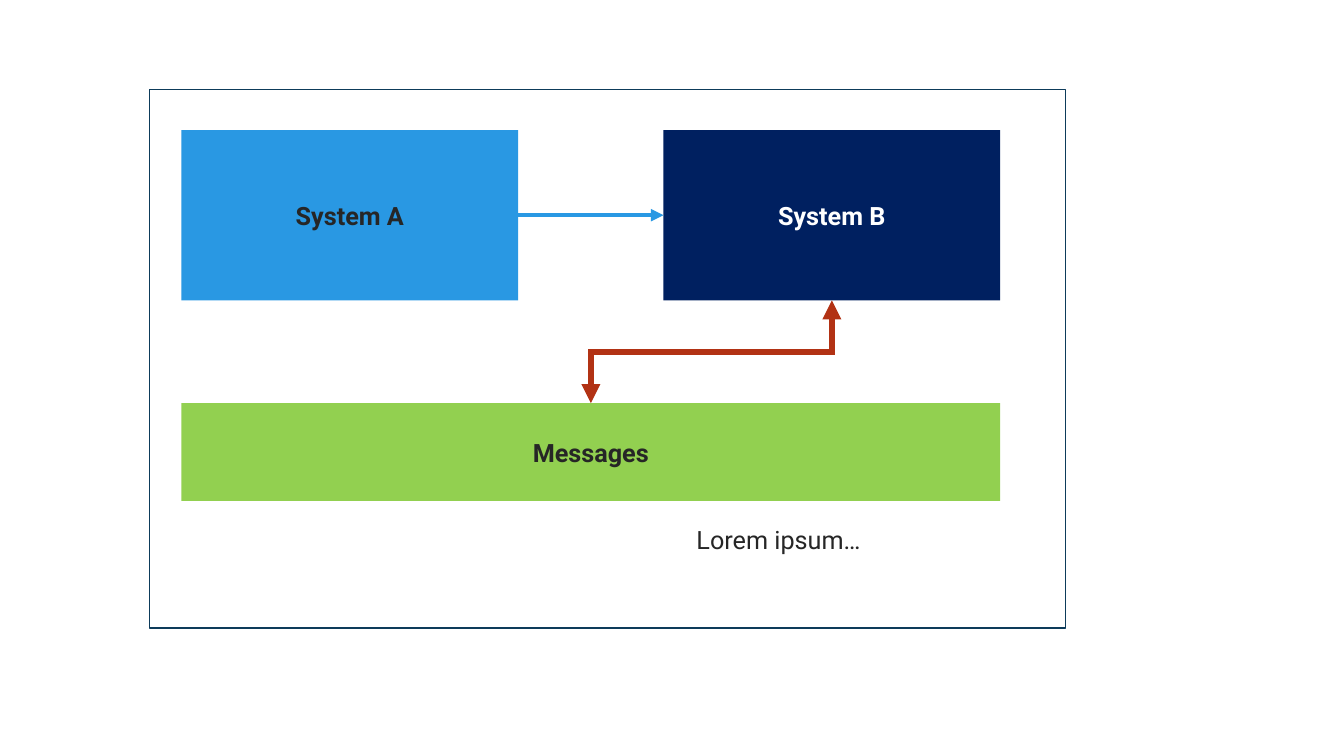
from dataclasses import dataclass
from typing import Optional

from lxml.etree import SubElement
from pptx import Presentation
from pptx.dml.color import RGBColor
from pptx.enum.shapes import MSO_CONNECTOR, MSO_SHAPE
from pptx.enum.text import MSO_ANCHOR, MSO_AUTO_SIZE, PP_ALIGN
from pptx.oxml.ns import qn
from pptx.util import Inches, Pt

BLUE = RGBColor(0x29, 0x98, 0xE3)
NAVY = RGBColor(0x00, 0x20, 0x60)
GREEN = RGBColor(0x92, 0xD0, 0x50)
RED = RGBColor(0xB2, 0x32, 0x14)
FRAME_BLUE = RGBColor(0x0D, 0x3B, 0x5A)
DARK = RGBColor(0x26, 0x26, 0x26)
WHITE = RGBColor(0xFF, 0xFF, 0xFF)


@dataclass(frozen=True)
class Box:
    left: float
    top: float
    width: float
    height: float
    fill: Optional[RGBColor] = None
    outline: Optional[RGBColor] = None
    text: str = ""
    text_color: RGBColor = DARK

    @property
    def right(self) -> float:
        return self.left + self.width

    @property
    def bottom(self) -> float:
        return self.top + self.height

    @property
    def center_x(self) -> float:
        return self.left + self.width / 2

    @property
    def center_y(self) -> float:
        return self.top + self.height / 2

    def bounds(self) -> list:
        return [Inches(v) for v in (self.left, self.top, self.width, self.height)]


@dataclass(frozen=True)
class Arrow:
    begin: tuple[float, float]
    end: tuple[float, float]
    color: RGBColor
    width: float
    vertical_elbow: bool = False
    both_ends: bool = False


SYSTEM_A = Box(1.8, 1.29, 3.34, 1.69, BLUE, text="System A")
SYSTEM_B = Box(6.58, 1.29, 3.34, 1.69, NAVY, text="System B", text_color=WHITE)
MESSAGES = Box(1.8, 4, 8.12, 0.97, GREEN, text="Messages")
CAPTION = Box(6.81, 5.15, 3.17, 0.4, text="Lorem ipsum…")
FRAME = Box(1.48, 0.89, 9.09, 5.34, outline=FRAME_BLUE)

ARROWS = [
    Arrow((MESSAGES.center_x, MESSAGES.top), (SYSTEM_B.center_x, SYSTEM_B.bottom),
          RED, 4.5, vertical_elbow=True, both_ends=True),
    Arrow((SYSTEM_A.right, SYSTEM_A.center_y), (SYSTEM_B.left, SYSTEM_B.center_y), BLUE, 3),
]


def write_text(shape, box: Box, bold: bool) -> None:
    paragraph = shape.text_frame.paragraphs[0]
    run = paragraph.add_run()
    run.text = box.text
    font_format = {"name": "Roboto", "size": Pt(18), "bold": bold}
    for name, value in font_format.items():
        setattr(run.font, name, value)
    run.font.color.rgb = box.text_color


def draw_box(slide, box: Box) -> None:
    shape = slide.shapes.add_shape(MSO_SHAPE.RECTANGLE, *box.bounds())
    shape.shadow.inherit = False
    if box.fill is None:
        shape.fill.background()
    else:
        shape.fill.solid()
        shape.fill.fore_color.rgb = box.fill
    if box.outline is None:
        shape.line.fill.background()
    else:
        shape.line.color.rgb = box.outline
        shape.line.width = Pt(1)
    if box.text:
        shape.text_frame.vertical_anchor = MSO_ANCHOR.MIDDLE
        shape.text_frame.paragraphs[0].alignment = PP_ALIGN.CENTER
        write_text(shape, box, bold=True)


def draw_caption(slide, box: Box) -> None:
    shape = slide.shapes.add_textbox(*box.bounds())
    frame_format = {"word_wrap": True, "auto_size": MSO_AUTO_SIZE.SHAPE_TO_FIT_TEXT}
    for name, value in frame_format.items():
        setattr(shape.text_frame, name, value)
    write_text(shape, box, bold=False)


def draw_arrow(slide, arrow: Arrow) -> None:
    (begin_x, begin_y), (end_x, end_y) = arrow.begin, arrow.end
    kind = MSO_CONNECTOR.STRAIGHT
    if arrow.vertical_elbow:
        # Turn the end points back a quarter; the rotation below restores them
        kind = MSO_CONNECTOR.ELBOW
        middle_x, middle_y = (begin_x + end_x) / 2, (begin_y + end_y) / 2
        half_x, half_y = (end_x - begin_x) / 2, (end_y - begin_y) / 2
        begin_x, begin_y = middle_x - half_y, middle_y + half_x
        end_x, end_y = middle_x + half_y, middle_y - half_x
    connector = slide.shapes.add_connector(
        kind, Inches(begin_x), Inches(begin_y), Inches(end_x), Inches(end_y))
    connector.line.color.rgb = arrow.color
    connector.line.width = Pt(arrow.width)
    properties = connector._element.spPr
    if arrow.vertical_elbow:
        properties.find(qn("a:xfrm")).set("rot", str(90 * 60000))
    line = properties.find(qn("a:ln"))
    SubElement(line, qn("a:miter"), lim="800000")
    for tag in ("a:headEnd", "a:tailEnd") if arrow.both_ends else ("a:tailEnd",):
        SubElement(line, qn(tag), type="triangle")
    SubElement(properties, qn("a:effectLst"))


def main() -> None:
    presentation = Presentation()
    presentation.slide_width = Inches(13.33)
    presentation.slide_height = Inches(7.5)
    slide = presentation.slides.add_slide(presentation.slide_layouts[6])

    # Systems and the arrows between them
    for box in (SYSTEM_A, SYSTEM_B):
        draw_box(slide, box)
    for arrow in ARROWS:
        draw_arrow(slide, arrow)

    # Message bar, caption and surrounding frame
    draw_box(slide, MESSAGES)
    draw_caption(slide, CAPTION)
    draw_box(slide, FRAME)

    presentation.save("out.pptx")


if __name__ == "__main__":
    main()
